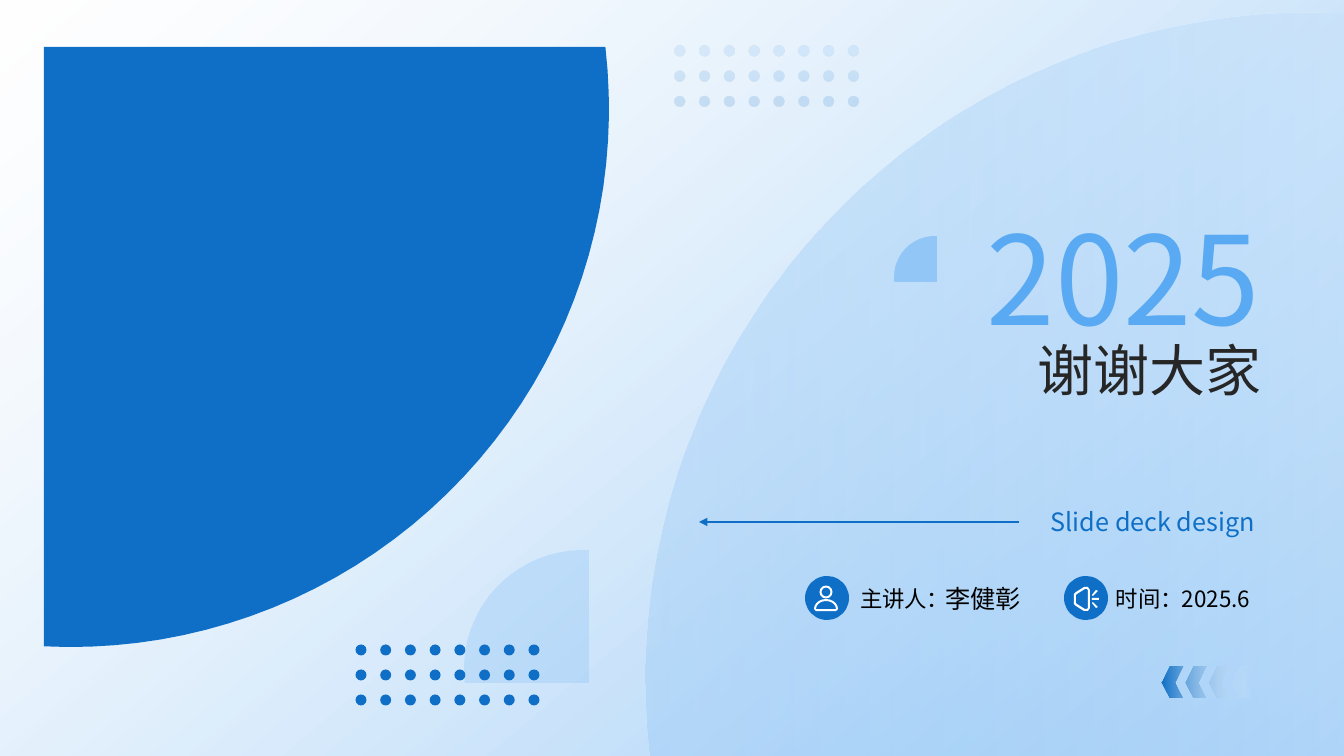
import math

from lxml import etree
from pptx import Presentation
from pptx import util as u
from pptx.dml.color import RGBColor
from pptx.enum import shapes, text
from pptx.oxml.ns import qn

PX = 12192000 / 1344
FONT = "Noto Sans CJK SC"

WHITE = RGBColor(0xFF, 0xFF, 0xFF)
BLACK = RGBColor(0x00, 0x00, 0x00)
CHARCOAL = RGBColor(0x26, 0x26, 0x26)
BLUE = RGBColor(0x0F, 0x6F, 0xC6)
BRIGHT = RGBColor(0x59, 0xAA, 0xF2)
SKY = RGBColor(0x91, 0xC6, 0xF7)
PALE = RGBColor(0xC8, 0xE3, 0xFB)

RIGHT = text.PP_ALIGN.RIGHT
LEFT = text.PP_ALIGN.LEFT
MIDDLE = text.MSO_ANCHOR.MIDDLE
TOP = text.MSO_ANCHOR.TOP


def arc(cx, cy, rx, ry, start, end, steps):
    """Points along an ellipse, angles in radians, clockwise from the right."""
    angles = [start + (end - start) * i / steps for i in range(steps + 1)]
    return [(cx + rx * math.cos(a), cy + ry * math.sin(a)) for a in angles]


def circle(cx, cy, r):
    return arc(cx, cy, r, r, 0, math.tau, 12)[:-1]


def cut_disc(corner, centre, r, side, steps):
    """The part of a disc inside a corner; side is 1 below right of it, -1 above left."""
    dx, dy = corner[0] - centre[0], corner[1] - centre[1]
    start = math.asin(side * dy / r)
    end = math.pi / 2 - math.asin(side * dx / r)
    return [corner] + arc(*centre, side * r, side * r, start, end, steps)


class Deck:
    def __init__(self):
        self.prs = Presentation()
        self.prs.slide_width, self.prs.slide_height = self.px(1344), self.px(756)
        self.slide = self.prs.slides.add_slide(self.prs.slide_layouts[6])

    def px(self, length):
        return u.Emu(round(length * PX))

    def paint(self, fill, holder, colour):
        """colour is an RGBColor, (RGBColor, alpha %) or (angle, [(stop %, RGBColor, alpha %)])."""
        if isinstance(colour, RGBColor):
            fill.solid()
            fill.fore_color.rgb = colour
        elif isinstance(colour[0], RGBColor):
            fill.solid()
            fill.fore_color.rgb = colour[0]
            rgb = holder.find(qn("a:solidFill")).find(qn("a:srgbClr"))
            etree.SubElement(rgb, qn("a:alpha"), val=str(colour[1] * 1000))
        else:
            angle, stops = colour
            fill.gradient()
            gradient = holder.find(qn("a:gradFill"))
            for child in list(gradient):
                gradient.remove(child)
            stop_list = etree.SubElement(gradient, qn("a:gsLst"))
            for pos, rgb, alpha in stops:
                stop = etree.SubElement(stop_list, qn("a:gs"), pos=str(pos * 1000))
                tint = etree.SubElement(stop, qn("a:srgbClr"), val=str(rgb))
                etree.SubElement(tint, qn("a:alpha"), val=str(alpha * 1000))
            etree.SubElement(gradient, qn("a:lin"), ang=str(angle * 60000), scaled="0")

    def finish(self, shape, colour):
        shape.shadow.inherit = False
        self.paint(shape.fill, shape._element.spPr, colour)
        shape.line.fill.background()

    def preset(self, kind, x, y, w, h, colour):
        shape = self.slide.shapes.add_shape(kind, *map(self.px, (x, y, w, h)))
        self.finish(shape, colour)

    def outline(self, contours, colour):
        """One shape of closed contours; a contour inside another cuts a hole."""
        contours = [[(self.px(x), self.px(y)) for x, y in contour] for contour in contours]
        builder = self.slide.shapes.build_freeform(*contours[0][0])
        builder.add_line_segments(contours[0][1:], close=True)
        for contour in contours[1:]:
            builder.move_to(*contour[0])
            builder.add_line_segments(contour[1:], close=True)
        shape = builder.convert_to_shape()
        self.finish(shape, colour)
        return shape

    def dot_grid(self, left, top, colour):
        """Eight by three dots in one shape, from the centre of the first one."""
        r = 5.5
        centres = [(left + 173 * col / 7, top + 25 * row)
                   for row in range(3) for col in range(8)]
        shape = self.outline([[(x - r, y), (x, y - r), (x + r, y), (x, y + r)]
                              for x, y in centres], colour)
        radius = str(self.px(r))
        for move in list(shape._element.iter(qn("a:moveTo"))):
            for start in ("10800000", "0"):
                side = move.getnext() if start != "0" else move.getnext().getnext()
                half = etree.Element(qn("a:arcTo"), wR=radius, hR=radius,
                                     stAng=start, swAng="10800000")
                side.getparent().replace(side, half)
            last_side = half.getnext()
            last_side.getparent().remove(last_side)

    def arrow(self, x1, y1, x2, y2, colour):
        line = self.slide.shapes.add_connector(
            shapes.MSO_CONNECTOR.STRAIGHT, *map(self.px, (x1, y1, x2, y2)))
        line.line.color.rgb = colour
        line.line.width = u.Pt(1.5)
        properties = line._element.spPr
        etree.SubElement(properties.find(qn("a:ln")), qn("a:tailEnd"), type="triangle")
        etree.SubElement(properties, qn("a:effectLst"))

    def label(self, words, x, y, w, h, size, colour, align=LEFT,
              anchor=MIDDLE, spacing=1.0, inset=0):
        box = self.slide.shapes.add_textbox(*map(self.px, (x, y, w, h)))
        frame = box.text_frame
        frame.word_wrap = True
        frame.vertical_anchor = anchor
        frame.margin_left = frame.margin_right = self.px(inset)
        frame.margin_top = frame.margin_bottom = 0
        paragraph = frame.paragraphs[0]
        paragraph.alignment = align
        paragraph.line_spacing = spacing
        run = paragraph.add_run()
        run.text = words
        run.font.size = u.Pt(size)
        run.font.name = FONT
        properties = run._r.get_or_add_rPr()
        etree.SubElement(properties, qn("a:ea"), typeface=FONT)
        self.paint(run.font.fill, properties, colour)


def person():
    shoulders = arc(826, 609, 12, 10, math.pi, math.tau, 10) + [(836, 611), (816, 611)]
    chest = arc(826, 609, 10, 8, math.pi, math.tau, 10)
    return [circle(826, 592, 6.5), circle(826, 592, 4.5), shoulders, chest]


def loudspeaker():
    middle = 599
    horn = [(1074, 594), (1076, 592), (1084, 587), (1088, 587), (1090, 590)]
    hollow = [(1076, 595), (1077, 594), (1085, 589), (1087, 589), (1088, 590)]
    ray = [(1092, 595), (1096, 590), (1098, 591), (1093, 596)]

    def mirrored(points):
        return [(x, 2 * middle - y) for x, y in points]

    level_ray = [(1092, 598), (1099, 598), (1099, 600), (1092, 600)]
    return [half + mirrored(half)[::-1] for half in (horn, hollow)] + [
        ray, level_ray, mirrored(ray)]


def main():
    deck = Deck()
    deck.preset(shapes.MSO_SHAPE.RECTANGLE, -2, -2, 1346, 758,
                (50, [(0, WHITE, 31), (100, SKY, 100)]))
    deck.outline([cut_disc((1344, 756), (1311, 679), 666, -1, 40)],
                 (0, [(0, SKY, 32), (100, PALE, 56)]))
    deck.outline([cut_disc((44, 47), (71, 109), 538, 1, 40)], BLUE)

    deck.label("谢谢大家", 661, 322, 600, 182, 40, CHARCOAL, RIGHT, TOP, 1.2)
    deck.label("2025", 862, 176, 398, 171, 88,
               (90, [(0, BRIGHT, 100), (100, PALE, 0)]), RIGHT, spacing=1.2)

    chevron = [(1184, 667), (1170, 667), (1162, 683), (1170, 698), (1184, 698), (1176, 683)]
    deck.outline([[(x + 70 * i / 3, y) for x, y in chevron] for i in range(4)],
                 (0, [(0, BLUE, 100), (100, WHITE, 0)]))
    deck.outline([cut_disc((589, 683), (583, 669), 119, -1, 20)], (SKY, 35))
    deck.outline([cut_disc((937, 282), (935, 277), 41, -1, 12)], SKY)
    deck.dot_grid(361, 650, BLUE)
    deck.dot_grid(680, 51, (90, [(11, SKY, 23), (100, BLUE, 16)]))

    deck.label("Slide deck design", 1008, 507, 257, 29, 18, BLUE, RIGHT, inset=10)
    deck.arrow(1019, 522, 699, 522, BLUE)

    for badge_left, icon in ((805, person()), (1064, loudspeaker())):
        deck.preset(shapes.MSO_SHAPE.OVAL, badge_left, 576, 44, 44, BLUE)
        deck.outline(icon, WHITE)
    for words, left, width, size in (("李健彰", 945, 104, 18), ("2025.6", 1182, 90, 16),
                                     ("主讲人：", 860, 121, 16), ("时间：", 1116, 109, 16)):
        deck.label(words, left, 570, width, 57, size, BLACK)
    deck.prs.save("out.pptx")


if __name__ == "__main__":
    main()
